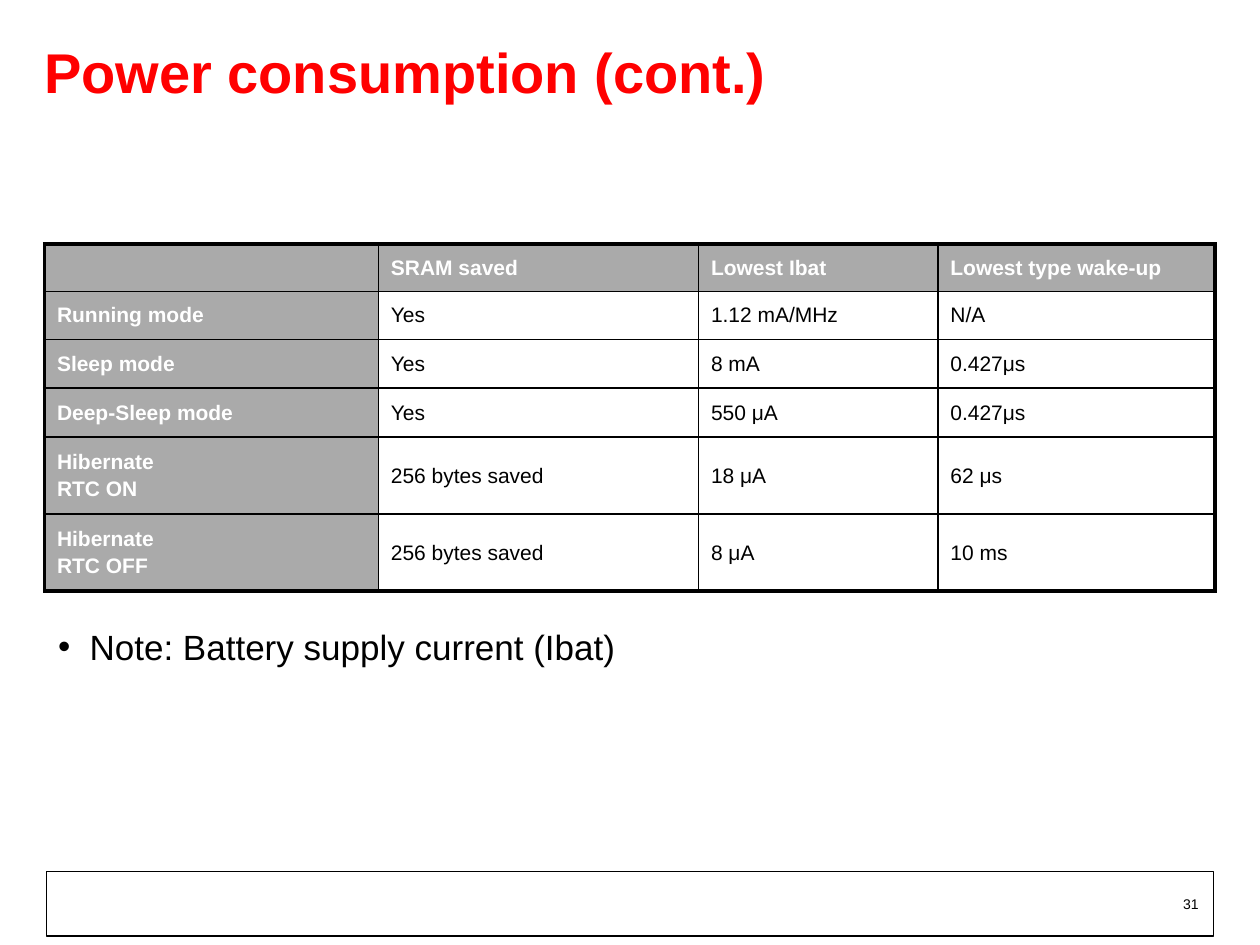
from dataclasses import dataclass

import lxml.etree
import pptx
import pptx.dml.color
import pptx.enum.shapes
import pptx.enum.text
import pptx.oxml
import pptx.oxml.ns
import pptx.util

Pt = pptx.util.Pt
RGBColor = pptx.dml.color.RGBColor
Align = pptx.enum.text.PP_ALIGN
Anchor = pptx.enum.text.MSO_ANCHOR
qn = pptx.oxml.ns.qn


@dataclass(frozen=True)
class Theme:
    font: str = "Arial"
    black: str = "000000"
    white: str = "FFFFFF"
    red: str = "FF0000"
    grey: str = "AAAAAA"
    title_size: float = 32
    body_size: float = 20
    cell_size: float = 12
    number_size: float = 8
    inner_line: float = 1
    outer_line: float = 2.25


@dataclass(frozen=True)
class Area:
    left: float
    top: float
    width: float
    height: float

    def lengths(self) -> tuple:
        return Pt(self.left), Pt(self.top), Pt(self.width), Pt(self.height)


@dataclass(frozen=True)
class Mode:
    name: str
    sram: str
    current: str
    wake_up: str
    height: float

    def texts(self) -> tuple:
        return self.name, self.sram, self.current, self.wake_up


THEME = Theme()
COLUMN_WIDTHS = (190.8, 182.9, 136.8, 158.4)
MODES = (
    Mode("", "SRAM saved", "Lowest Ibat", "Lowest type wake-up", 27.2),
    Mode("Running mode", "Yes", "1.12 mA/MHz", "N/A", 27.4),
    Mode("Sleep mode", "Yes", "8 mA", "0.427μs", 27.8),
    Mode("Deep-Sleep mode", "Yes", "550 μA", "0.427μs", 28),
    Mode("Hibernate\nRTC ON", "256 bytes saved", "18 μA", "62 μs", 44),
    Mode("Hibernate\nRTC OFF", "256 bytes saved", "8 μA", "10 ms", 44),
)


def write_text(frame, text: str, size: float, color: str, bold: bool = False,
               align=Align.LEFT, space_before: float = 0) -> None:
    frame.text = text
    for para in frame.paragraphs:
        para.alignment = align
        para.space_before = Pt(space_before)
        for span in para.runs:
            span.font.name = THEME.font
            span.font.size = Pt(size)
            span.font.bold = bold
            span.font.color.rgb = RGBColor.from_string(color)


def place(shape, area: Area) -> None:
    shape.left, shape.top, shape.width, shape.height = area.lengths()


def draw_borders(cell, widths: dict) -> None:
    properties = cell._tc.get_or_add_tcPr()
    # Border lines come before the fill
    for index, (side, width) in enumerate(widths.items()):
        line = pptx.oxml.parse_xml(
            f'<a:ln{side} {pptx.oxml.ns.nsdecls("a")} w="{Pt(width)}"><a:solidFill>'
            f'<a:srgbClr val="{THEME.black}"/></a:solidFill></a:ln{side}>')
        properties.insert(index, line)


def draw_mode_table(page, left: float, top: float) -> None:
    area = Area(left, top, sum(COLUMN_WIDTHS), sum(mode.height for mode in MODES))
    table = page.shapes.add_table(len(MODES), len(COLUMN_WIDTHS), *area.lengths()).table
    for column, width in zip(table.columns, COLUMN_WIDTHS):
        column.width = Pt(width)
    last_row, last_column = len(MODES) - 1, len(COLUMN_WIDTHS) - 1
    for r, mode in enumerate(MODES):
        table.rows[r].height = Pt(mode.height)
        for c, text in enumerate(mode.texts()):
            cell = table.cell(r, c)
            heading = r == 0 or c == 0
            cell.vertical_anchor = Anchor.MIDDLE
            cell.fill.solid()
            cell.fill.fore_color.rgb = RGBColor.from_string(
                THEME.grey if heading else THEME.white)
            write_text(cell.text_frame, text, THEME.cell_size,
                       THEME.white if heading else THEME.black, heading,
                       space_before=0.2 * THEME.cell_size)
            if not text:
                # Keeps the empty corner from stretching its row
                lxml.etree.SubElement(cell.text_frame.paragraphs[0]._p, qn("a:endParaRPr"),
                                      sz=str(THEME.cell_size * 100))
            outer = {"L": c == 0, "R": c == last_column, "T": r == 0, "B": r == last_row}
            draw_borders(cell, {side: THEME.outer_line if edge else THEME.inner_line
                                for side, edge in outer.items()})


def draw_title(page, text: str) -> None:
    title = page.shapes.title
    place(title, Area(18, 11.5, 666, 64))
    frame = title.text_frame
    frame.auto_size = pptx.enum.text.MSO_AUTO_SIZE.NONE
    frame.vertical_anchor = Anchor.MIDDLE
    write_text(frame, text, THEME.title_size, THEME.red, True)
    frame.paragraphs[0].line_spacing = 0.85


def draw_note(page, text: str) -> None:
    body = page.placeholders[1]
    place(body, Area(26, 93.6, 666.7, 369.4))
    frame = body.text_frame
    frame.auto_size = pptx.enum.text.MSO_AUTO_SIZE.NONE
    frame.margin_top = Pt(264)  # starts the note below the table
    write_text(frame, text, THEME.body_size, THEME.black)
    properties = frame.paragraphs[0]._p.get_or_add_pPr()
    properties.set("marL", str(Pt(18)))
    properties.set("indent", str(-Pt(18)))
    lxml.etree.SubElement(properties, qn("a:buChar"), char="•")


def draw_footer(page, number: str) -> None:
    frame_box = page.shapes.add_shape(pptx.enum.shapes.MSO_SHAPE.RECTANGLE,
                                      *Area(26.6, 498.2, 666.7, 36.7).lengths())
    frame_box.shadow.inherit = False
    frame_box.fill.background()
    frame_box.line.color.rgb = RGBColor.from_string(THEME.black)
    frame_box.line.width = Pt(0.75)
    number_box = page.shapes.add_textbox(*Area(524.2, 508.3, 167.8, 16.6).lengths())
    number_box.text_frame.word_wrap = True
    write_text(number_box.text_frame, number, THEME.number_size, THEME.black,
               align=Align.RIGHT)


def main() -> None:
    deck = pptx.Presentation()
    deck.slide_width, deck.slide_height = Pt(720), Pt(540)
    page = deck.slides.add_slide(deck.slide_layouts[1])
    draw_title(page, "Power consumption (cont.)")
    draw_note(page, "Note: Battery supply current (Ibat)")
    draw_mode_table(page, 25.4, 139.5)
    draw_footer(page, "31")
    deck.save("out.pptx")


if __name__ == "__main__":
    main()
